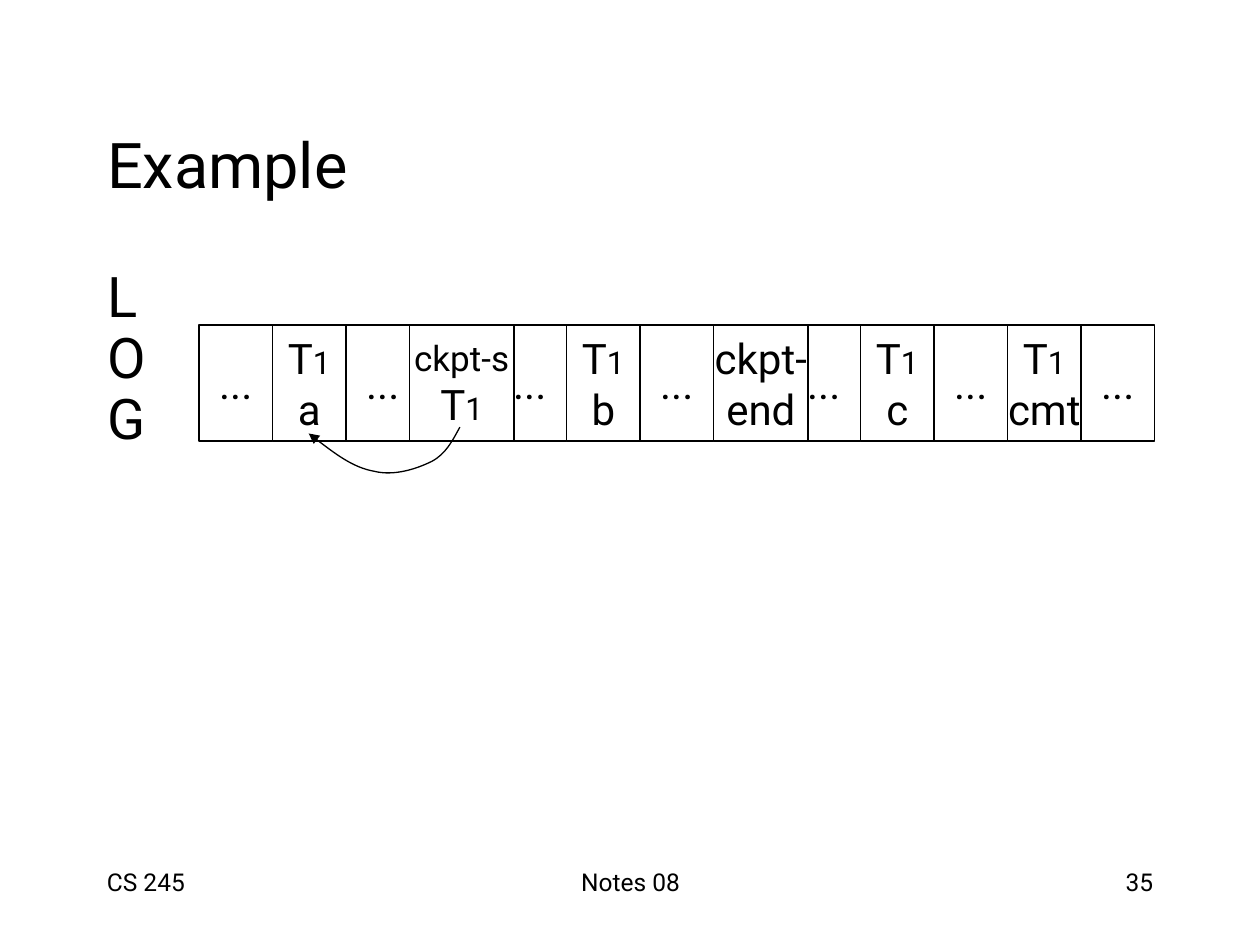
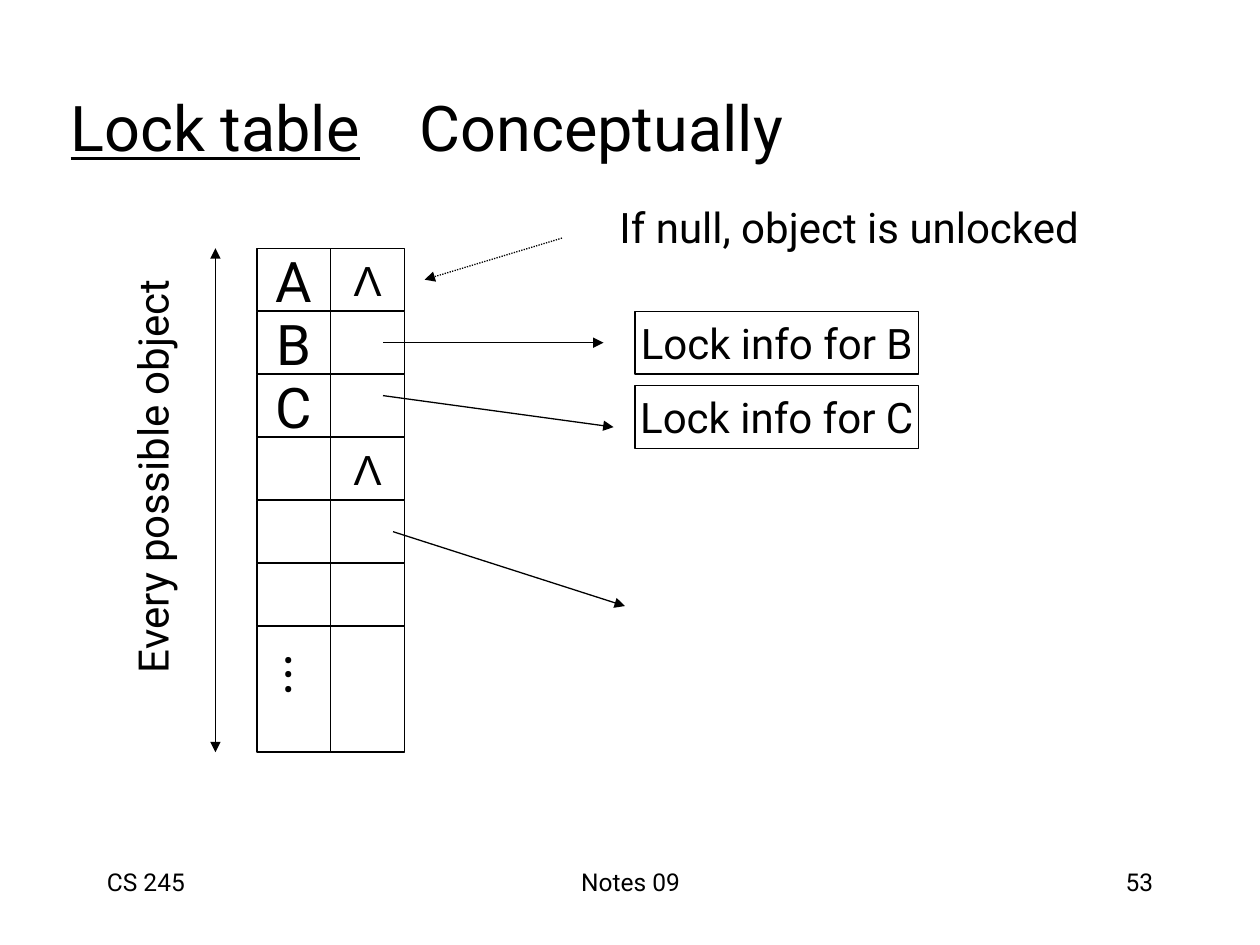
from lxml.etree import SubElement
from pptx import Presentation
from pptx.dml.color import RGBColor
from pptx.enum.dml import MSO_LINE
from pptx.enum.shapes import MSO_CONNECTOR, MSO_SHAPE
from pptx.enum.text import MSO_ANCHOR, MSO_AUTO_SIZE, PP_ALIGN
from pptx.oxml.ns import qn
from pptx.util import Inches, Pt

COLORS = {"ink": "000000", "paper": "FFFFFF"}
FONT = "Roboto"
SYMBOL_FONT = "Arial"
LINE_WIDTH = Pt(0.75)
FOOTER_TOP, FOOTER_HEIGHT = 6.83, 0.5
LOG_PITCH = 7 / 12
ROW_HEIGHT = 0.5


def color(name):
    return RGBColor.from_string(COLORS[name])


def format_run(run, size, font=FONT):
    run.font.name = font
    run.font.size = Pt(size)
    run.font.color.rgb = color("ink")


def write_lines(frame, lines, align=PP_ALIGN.CENTER, font=FONT):
    for index, pieces in enumerate(lines):
        paragraph = frame.paragraphs[0] if index == 0 else frame.add_paragraph()
        paragraph.alignment = align
        for text, size in pieces:
            run = paragraph.add_run()
            run.text = text
            format_run(run, size, font)


def add_label(slide, box, text, size, align=PP_ALIGN.CENTER, anchor=MSO_ANCHOR.MIDDLE, rotation=0, wrap=False):
    label = slide.shapes.add_textbox(*map(Inches, box))
    label.rotation = rotation
    label.text_frame.word_wrap = wrap
    label.text_frame.vertical_anchor = anchor
    write_lines(label.text_frame, [[(text, size)]], align)


def add_cell(slide, box, lines=(), font=FONT):
    cell = slide.shapes.add_shape(MSO_SHAPE.RECTANGLE, *map(Inches, box))
    cell.shadow.inherit = False
    cell.fill.solid()
    cell.fill.fore_color.rgb = color("paper")
    style_line(cell.line)
    cell.text_frame.word_wrap = False
    cell.text_frame.vertical_anchor = MSO_ANCHOR.MIDDLE
    write_lines(cell.text_frame, lines, font=font)


def style_line(line):
    line.color.rgb = color("ink")
    line.width = LINE_WIDTH


def add_arrowhead(line):
    SubElement(line._get_or_add_ln(), qn("a:tailEnd"), type="triangle")


def add_arrow(slide, start, end, dash=None):
    arrow = slide.shapes.add_connector(MSO_CONNECTOR.STRAIGHT, *map(Inches, start + end))
    style_line(arrow.line)
    if dash:
        arrow.line.dash_style = dash
    add_arrowhead(arrow.line)
    SubElement(arrow._element.spPr, qn("a:effectLst"))


def add_curved_arrow(slide, start, curve_points):
    builder = slide.shapes.build_freeform(Inches(start[0]), Inches(start[1]), scale=1.0)
    builder.add_line_segments([tuple(map(Inches, point)) for point in curve_points], close=False)
    arrow = builder.convert_to_shape()
    outline = arrow._element.find(".//" + qn("a:path"))
    segments = outline.findall(qn("a:lnTo"))
    for first in range(0, len(segments), 3):
        curve = SubElement(outline, qn("a:cubicBezTo"))
        for segment in segments[first:first + 3]:
            curve.append(segment[0])
            outline.remove(segment)
    arrow.shadow.inherit = False
    arrow.fill.background()
    style_line(arrow.line)
    add_arrowhead(arrow.line)


def place(placeholder, box, anchor):
    placeholder.left, placeholder.top, placeholder.width, placeholder.height = map(Inches, box)
    frame = placeholder.text_frame
    frame.auto_size = MSO_AUTO_SIZE.NONE
    frame.vertical_anchor = anchor
    return frame


def set_title(slide, box, pieces):
    frame = place(slide.shapes.title, box, MSO_ANCHOR.MIDDLE)
    write_lines(frame, [[(text, 36) for text in pieces]], PP_ALIGN.LEFT)
    return frame.paragraphs[0]


def add_footer(slide, notes, number):
    parts = [
        (0.75, 2.08, "CS 245", PP_ALIGN.LEFT),
        (3.42, 3.17, notes, PP_ALIGN.CENTER),
        (7.17, 2.08, number, PP_ALIGN.RIGHT),
    ]
    for left, width, text, align in parts:
        add_label(slide, (left, FOOTER_TOP, width, FOOTER_HEIGHT), text, 14, align, MSO_ANCHOR.TOP, wrap=True)


def write_vertical_word(placeholder, box, word):
    frame = place(placeholder, box, MSO_ANCHOR.TOP)
    write_lines(frame, [[(letter, 32)] for letter in word], PP_ALIGN.LEFT)
    for index, paragraph in enumerate(frame.paragraphs):
        paragraph.line_spacing = 0.7
        paragraph.space_before = Pt(8 if index else 0)
        properties = paragraph._p.get_or_add_pPr()
        properties.set("marL", str(Inches(0.38)))
        properties.set("indent", str(-Inches(0.38)))
        SubElement(properties, qn("a:buNone"))


def draw_log(slide, box):
    left, top, height = box
    transaction = [("T", 24), ("1", 18)]
    records = {1: "a", 5: "b", 9: "c", 11: "cmt"}
    checkpoints = {
        7: (0, 0.75, [[("ckpt-", 24)], [("end", 24)]]),
        3: (-0.08, 0.83, [[("ckpt-s", 20)], transaction]),
    }
    for index in range(13):
        if index in checkpoints:
            continue
        lines = [transaction, [(records[index], 24)]] if index in records else [[("...", 24)]]
        add_cell(slide, (left + index * LOG_PITCH, top, LOG_PITCH, height), lines)
    for index, (shift, width, lines) in checkpoints.items():
        add_cell(slide, (left + index * LOG_PITCH + shift, top, width, height), lines)
    curve = [
        (2.01, 0.92), (1.96, 1.02), (1.85, 1.08),
        (1.73, 1.14), (1.55, 1.2), (1.39, 1.16),
        (1.22, 1.13), (1.04, 0.99), (0.87, 0.86),
    ]
    add_curved_arrow(slide, (left + 2.07, top + 0.81), [(left + x, top + y) for x, y in curve])


def draw_object_table(slide, box):
    left, top, width = box
    column = width / 2
    rows = [("A", "Λ"), ("B", ""), ("C", ""), ("", "Λ"), ("", ""), ("", ""), ("", "")]
    for index, (name, pointer) in enumerate(rows):
        row_top = top + index * ROW_HEIGHT
        height = ROW_HEIGHT * (2 if index == len(rows) - 1 else 1)
        add_cell(slide, (left, row_top, column, height), [[(name, 32)]] if name else ())
        add_cell(slide, (left + column, row_top, column, height), [[(pointer, 24)]] if pointer else (), SYMBOL_FONT)
    add_label(slide, (left + 0.1, top + 3.07, 0.61, 0.64), "...", 32, rotation=90, wrap=True)


def draw_lock_info(slide, box):
    left, top, width = box
    for index, name in enumerate("BC"):
        add_cell(slide, (left, top + index * 0.59, width, ROW_HEIGHT), [[(f"Lock info for {name}", 24)]])


def draw_pointers(slide, box):
    left, top = box
    for start, end in [((1, 0.75), (2.75, 0.75)), ((1, 1.17), (2.83, 1.42)), ((1.08, 2.25), (2.92, 2.84))]:
        add_arrow(slide, (left + start[0], top + start[1]), (left + end[0], top + end[1]))
    add_label(slide, (left + 2.66, top - 0.42, 4.08, 0.5), "If null, object is unlocked", 24)
    add_arrow(slide, (left + 2.42, top - 0.08), (left + 1.33, top + 0.25), MSO_LINE.ROUND_DOT)


def draw_extent(slide, box):
    left, top, height = box
    for end in (top, top + height):
        add_arrow(slide, (left, top + 1.59), (left, end))
    add_label(slide, (left - 2.24, top + 1.56, 3.47, 0.5), "Every possible object", 24, rotation=270)


def build_log_slide(presentation):
    slide = presentation.slides.add_slide(presentation.slide_layouts[1])
    add_footer(slide, "Notes 08", "35")
    set_title(slide, (0.75, 0.67, 8.5, 1.25), ["Example"])
    write_vertical_word(slide.placeholders[1], (0.75, 2.17, 8.5, 4.5), "LOG")
    draw_log(slide, (1.58, 2.58, 0.92))


def build_lock_table_slide(presentation):
    slide = presentation.slides.add_slide(presentation.slide_layouts[5])
    add_footer(slide, "Notes 09", "53")
    title = set_title(slide, (0.46, 0.38, 8.5, 1.25), ["Lock table", "\tConceptually"])
    tabs = SubElement(title._p.get_or_add_pPr(), qn("a:tabLst"))
    SubElement(tabs, qn("a:tab"), pos=str(Inches(2.77)), algn="l")
    title.runs[0].font.underline = True
    draw_object_table(slide, (2.04, 1.97, 1.17))
    draw_lock_info(slide, (5.04, 2.47, 2.25))
    draw_pointers(slide, (2.04, 1.97))
    draw_extent(slide, (1.71, 1.97, 4))


def main():
    presentation = Presentation()
    presentation.slide_width = Inches(10)
    presentation.slide_height = Inches(7.5)
    build_log_slide(presentation)
    build_lock_table_slide(presentation)
    presentation.save("out.pptx")


if __name__ == "__main__":
    main()
